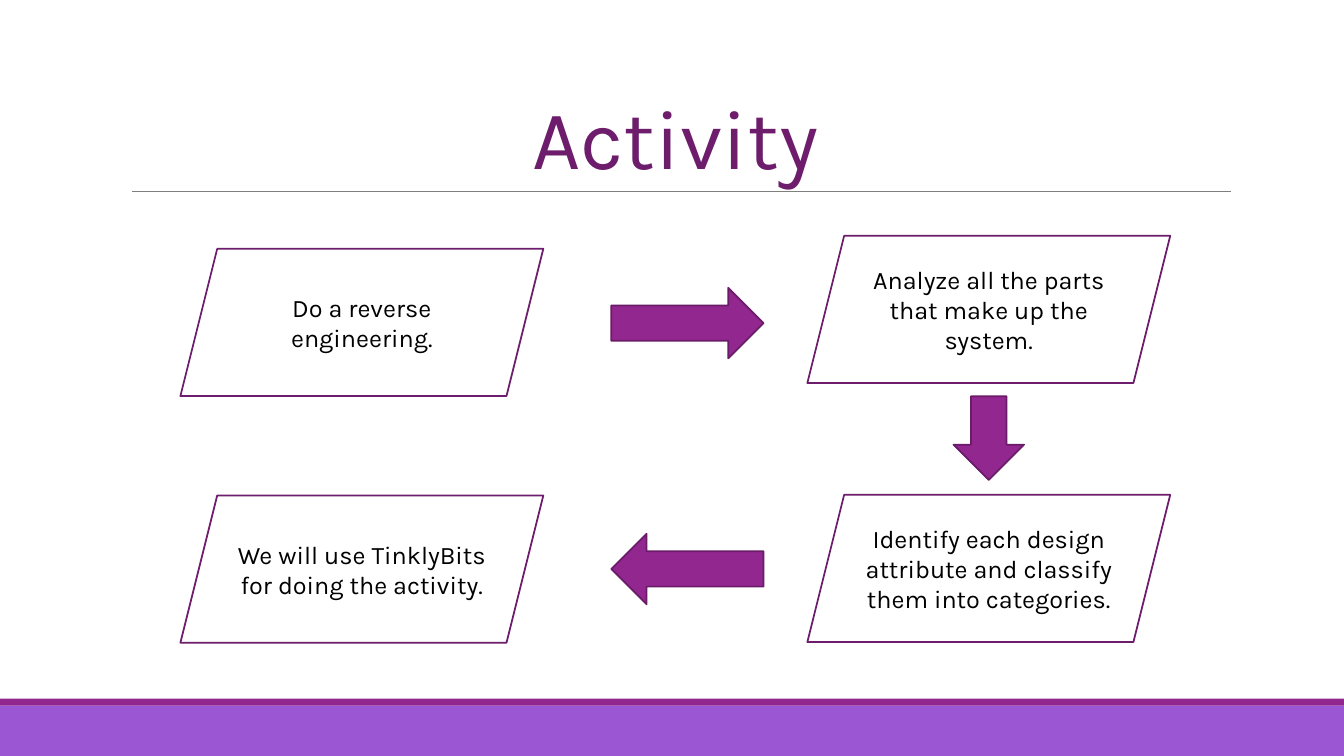
from dataclasses import dataclass

from lxml.etree import SubElement
from pptx import Presentation
from pptx.dml.color import RGBColor
from pptx.enum.shapes import MSO_CONNECTOR, MSO_SHAPE
from pptx.enum.text import MSO_ANCHOR, MSO_AUTO_SIZE, PP_ALIGN
from pptx.oxml.ns import qn
from pptx.util import Pt


@dataclass(frozen=True)
class Theme:
    font: str = "Karla"
    title_size: float = 60
    step_size: float = 18
    outline_width: float = 1.25
    rule_width: float = 0.75
    title: str = "6D1D6B"
    text: str = "000000"
    arrow: str = "92278F"
    arrow_edge: str = "6A1C68"
    band: str = "9B57D3"
    rule: str = "7F7F7F"


THEME = Theme()
SLIDE_W, SLIDE_H = 960, 540
BAND_TOP, STRIPE_H = 504, 5
LEFT_COL, RIGHT_COL = 128.9, 576.7
STEP_W, STEP_H = 259.2, 105.1
ARROW_W = 50.4

STEPS = [
    (LEFT_COL, 177.8, "Do a reverse engineering."),
    (RIGHT_COL, 168.5, "Analyze all the parts that make up the system."),
    (RIGHT_COL, 353.5, "Identify each design attribute and classify them into categories."),
    (LEFT_COL, 354, "We will use TinklyBits for doing the activity."),
]
# left, top, length, rotation
ARROWS = [
    (465.8, 176.4, 108.7, 270),
    (681.1, 283, 59.8, 0),
    (465.8, 352.1, 108.7, 90),
]


def rgb(value):
    return RGBColor.from_string(value)


def put_text(s, text, size, color, anchor):
    tf = s.text_frame
    frame_format = {
        "word_wrap": True, "auto_size": MSO_AUTO_SIZE.NONE, "vertical_anchor": anchor,
        "margin_left": Pt(7.2), "margin_right": Pt(7.2),
        "margin_top": Pt(3.6), "margin_bottom": Pt(3.6),
    }
    for name, value in frame_format.items():
        setattr(tf, name, value)
    p = tf.paragraphs[0]
    p.alignment = PP_ALIGN.CENTER
    r = p.add_run()
    r.text = text
    for name, value in {"name": THEME.font, "size": Pt(size)}.items():
        setattr(r.font, name, value)
    r.font.color.rgb = rgb(color)
    return p


def add_block(slide, kind, box, fill=None, edge=None):
    """Add a preset shape; without a fill or edge colour that part is left out."""
    s = slide.shapes.add_shape(kind, *map(Pt, box))
    s.shadow.inherit = False
    if fill:
        s.fill.solid()
        s.fill.fore_color.rgb = rgb(fill)
    else:
        s.fill.background()
    if edge:
        s.line.color.rgb = rgb(edge)
        s.line.width = Pt(THEME.outline_width)
    else:
        s.line.fill.background()
    return s


def add_rule(slide, left, right, y):
    s = slide.shapes.add_connector(MSO_CONNECTOR.STRAIGHT, Pt(left), Pt(y), Pt(right), Pt(y))
    s.line.color.rgb = rgb(THEME.rule)
    s.line.width = Pt(THEME.rule_width)
    SubElement(s._element.spPr, qn("a:effectLst"))


def set_title(slide, text):
    s = slide.shapes.title
    place = {"left": 86.4, "top": 22.3, "width": 792, "height": 114.5}
    for name, value in place.items():
        setattr(s, name, Pt(value))
    p = put_text(s, text, THEME.title_size, THEME.title, MSO_ANCHOR.BOTTOM)
    p.line_spacing = 0.85


def add_step(slide, left, top, text):
    s = add_block(slide, MSO_SHAPE.PARALLELOGRAM, (left, top, STEP_W, STEP_H), edge=THEME.title)
    put_text(s, text, THEME.step_size, THEME.text, MSO_ANCHOR.MIDDLE)


def add_arrow(slide, left, top, length, rotation):
    s = add_block(slide, MSO_SHAPE.DOWN_ARROW, (left, top, ARROW_W, length),
                  THEME.arrow, THEME.arrow_edge)
    s.rotation = rotation


def main():
    prs = Presentation()
    prs.slide_width, prs.slide_height = Pt(SLIDE_W), Pt(SLIDE_H)
    slide = prs.slides.add_slide(prs.slide_layouts.get_by_name("Title Only"))

    add_block(slide, MSO_SHAPE.RECTANGLE, (0, BAND_TOP, SLIDE_W, SLIDE_H - BAND_TOP), THEME.band)
    add_block(slide, MSO_SHAPE.RECTANGLE, (0, BAND_TOP - STRIPE_H, SLIDE_W, STRIPE_H), THEME.arrow)
    add_rule(slide, 94.3, 879.1, 136.8)
    set_title(slide, "Activity")
    for step in STEPS:
        add_step(slide, *step)
    for arrow in ARROWS:
        add_arrow(slide, *arrow)

    prs.save("out.pptx")


if __name__ == "__main__":
    main()
